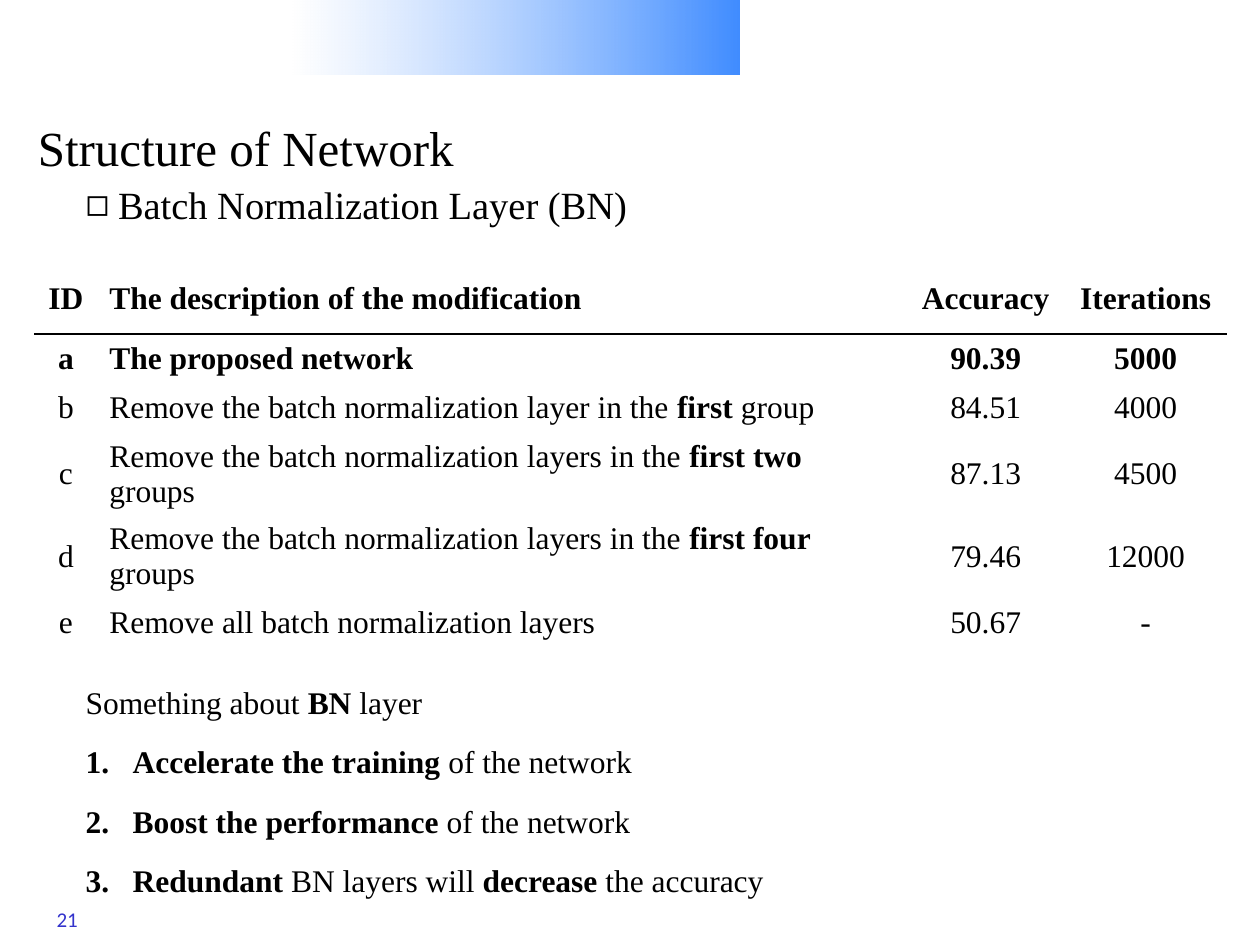
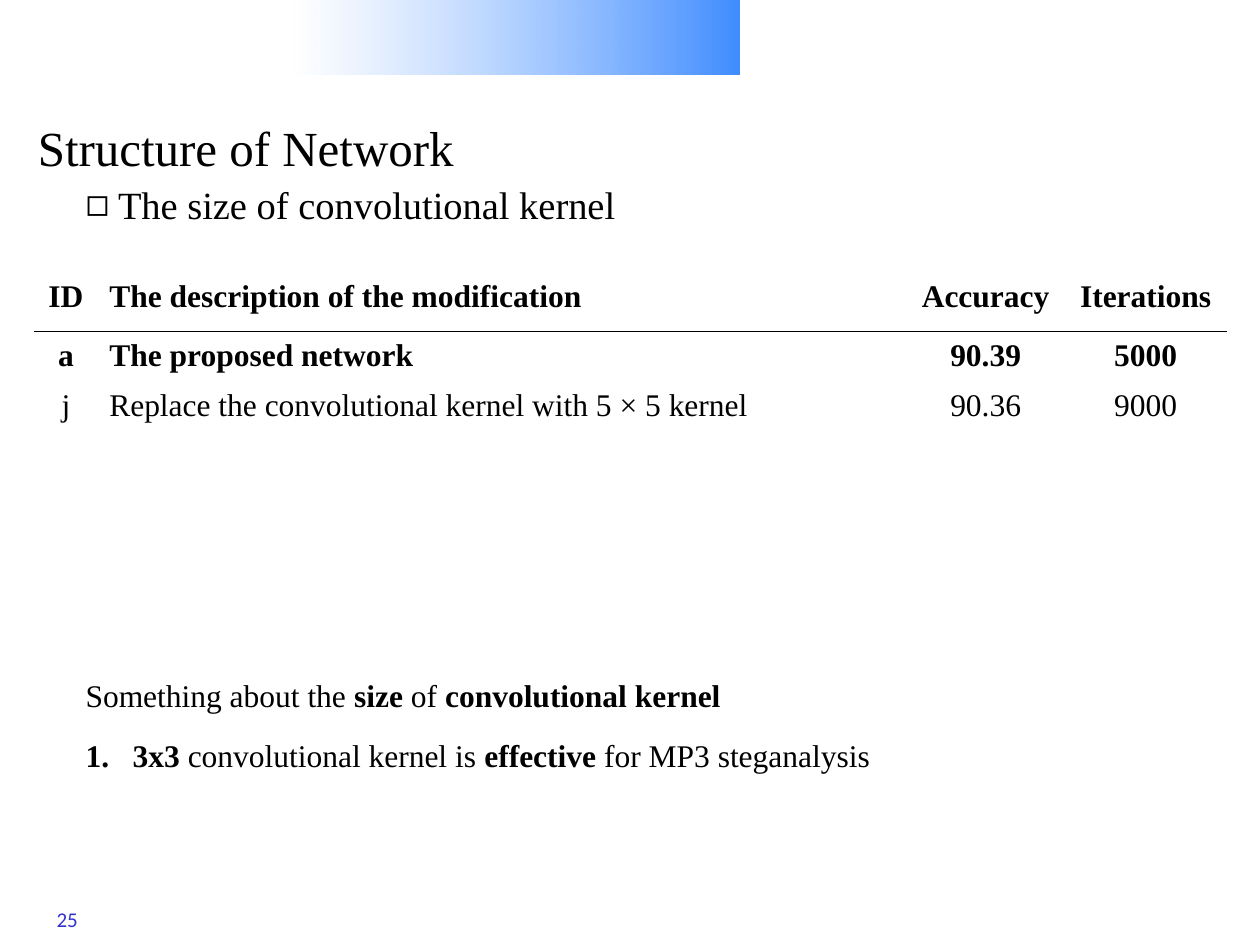
from dataclasses import dataclass

from lxml.etree import SubElement
from pptx import Presentation
from pptx.dml.color import RGBColor
from pptx.enum.shapes import MSO_SHAPE as Preset
from pptx.enum.text import MSO_ANCHOR as Anchor, MSO_AUTO_SIZE as AutoSize, PP_ALIGN as Align
from pptx.oxml.ns import qn
from pptx.util import Cm, Pt


@dataclass(frozen=True)
class Theme:
    black: str = "000000"
    white: str = "FFFFFF"
    band_blue: str = "0066FF"
    number_blue: str = "3333CC"
    serif: str = "Times New Roman"
    sans: str = "Calibri"
    title_size: int = 28
    topic_size: int = 22
    text_size: int = 18
    number_size: int = 12


THEME = Theme()
TWO_CONTENT = 3
TITLE = "Structure of Network"
HEADER = ("ID", "The description of the modification", "Accuracy", "Iterations")
PROPOSED = ("a", "The proposed network", "90.39", "5000")
COLUMN_WIDTHS = (1.24, 16.32, 3.2, 3.25)
HEADER_HEIGHT, ROW_HEIGHT = 1.4, 1.0


# Text
def write(para, text, size=THEME.text_size, font=THEME.serif, color=THEME.black,
          bold=False, align=Align.LEFT, spacing=1.0, before=0):
    """Add text to a paragraph; parts between ** marks are bold."""
    para.alignment = align
    para.line_spacing = spacing
    para.space_before = Pt(before)
    for index, part in enumerate(text.split("**")):
        if part:
            span = para.add_run()
            span.text = part
            span.font.size = Pt(size)
            span.font.name = font
            span.font.bold = bold or index % 2 == 1
            span.font.color.rgb = RGBColor.from_string(color)


def set_bullet(para, tag, indent=0, **attributes):
    props = para._p.get_or_add_pPr()
    props.set("marL", str(Cm(indent)))
    props.set("indent", str(-Cm(indent)))
    SubElement(props, qn(f"a:{tag}"), attributes)


def place(box, left, top, width, height, anchor=Anchor.TOP):
    box.left, box.top, box.width, box.height = map(Cm, (left, top, width, height))
    frame = box.text_frame
    frame.word_wrap = True
    frame.auto_size = AutoSize.NONE
    frame.vertical_anchor = anchor
    return frame


# Parts shared by the slides
def add_band(page):
    band = page.shapes.add_shape(Preset.RECTANGLE, Cm(5.89), 0, Cm(9.02), Cm(1.5))
    band.shadow.inherit = False
    band.line.fill.background()
    band.fill.gradient()
    band.fill.gradient_angle = 0
    stops = band.fill.gradient_stops
    for stop, color in zip(stops, (THEME.white, THEME.band_blue)):
        stop.color.rgb = RGBColor.from_string(color)
    colors = band._element.spPr.iter(qn("a:srgbClr"))
    for color, opacity in zip(colors, (48, 75)):
        SubElement(color, qn("a:alpha"), val=str(opacity * 1000))


def add_page_number(page, number):
    box = page.shapes.add_textbox(0, 0, 0, 0)
    frame = place(box, 0.89, 18.16, 1.19, 0.76)
    write(frame.paragraphs[0], str(number), size=THEME.number_size,
          font=THEME.sans, color=THEME.number_blue)


def fill_title(box):
    frame = place(box, 0.51, 2.16, 24.89, 1.75, Anchor.MIDDLE)
    write(frame.paragraphs[0], TITLE, size=THEME.title_size, spacing=0.9)


def fill_topic(box, topic):
    para = place(box, 1.47, 3.53, 21.44, 1.2).paragraphs[0]
    write(para, " ", size=THEME.topic_size, font=THEME.sans)
    write(para, topic, size=THEME.topic_size)
    set_bullet(para, "buChar", 0.48, char="◻")


def fill_findings(box, top, height, intro, findings):
    frame = place(box, 1.47, top, 18.85, height)
    para = frame.paragraphs[0]
    write(para, intro, before=1.5)
    set_bullet(para, "buNone")
    for finding in findings:
        para = frame.add_paragraph()
        write(para, finding, spacing=1.5, before=1.5)
        set_bullet(para, "buAutoNum", 0.95, type="arabicPeriod")


# Results table
def set_borders(cell, **colors):
    props = cell._tc.get_or_add_tcPr()
    for side in "LRTB":
        line = SubElement(props, qn(f"a:ln{side}"), w=str(Pt(1)))
        solid = SubElement(line, qn("a:solidFill"))
        SubElement(solid, qn("a:srgbClr"), val=colors.get(side, THEME.white))


def add_results(page, top, results):
    rows = (HEADER, PROPOSED, *results)
    height = HEADER_HEIGHT + ROW_HEIGHT * (len(rows) - 1)
    table = page.shapes.add_table(len(rows), len(HEADER), Cm(0.71), Cm(top),
                                  Cm(sum(COLUMN_WIDTHS)), Cm(height)).table
    table.first_row = table.horz_banding = False
    for column, width in zip(table.columns, COLUMN_WIDTHS):
        column.width = Cm(width)
    rules = {0: {"B": THEME.black}, 1: {"T": THEME.black}}
    for r, values in enumerate(rows):
        table.rows[r].height = Cm(ROW_HEIGHT if r else HEADER_HEIGHT)
        for c, value in enumerate(values):
            cell = table.cell(r, c)
            set_borders(cell, **rules.get(r, {}))
            cell.fill.background()
            cell.vertical_anchor = Anchor.MIDDLE
            write(cell.text_frame.paragraphs[0], value, bold=r < 2,
                  align=Align.LEFT if c == 1 else Align.CENTER)


def add_page(deck, number, topic, table_top, results, **findings):
    page = deck.slides.add_slide(deck.slide_layouts[TWO_CONTENT])
    title, topic_box, findings_box = page.placeholders
    add_band(page)
    add_page_number(page, number)
    fill_title(title)
    fill_topic(topic_box, topic)
    add_results(page, table_top, results)
    fill_findings(findings_box, **findings)


def main():
    deck = Presentation()
    deck.slide_width, deck.slide_height = Cm(25.4), Cm(19.05)

    # Batch normalization
    removal = "Remove the batch normalization"
    add_page(
        deck, 21, "Batch Normalization Layer (BN)", 5.33,
        [("b", f"{removal} layer in the **first** group", "84.51", "4000"),
         ("c", f"{removal} layers in the **first two **groups", "87.13", "4500"),
         ("d", f"{removal} layers in the **first four **groups", "79.46", "12000"),
         ("e", "Remove all batch normalization layers", "50.67", "-")],
        top=13.64, height=4.5, intro="Something about **BN** layer",
        findings=["**Accelerate the training** of the network",
                  "**Boost the performance **of the network",
                  "**Redundant** BN layers will **decrease** the accuracy"])

    # Kernel size
    add_page(
        deck, 25, "The size of convolutional kernel", 5.28,
        [("j", "Replace the convolutional kernel with 5 × 5 kernel", "90.36", "9000")],
        top=13.51, height=2.18,
        intro="Something about the** size **of** convolutional kernel**",
        findings=["**3x3** convolutional kernel is **effective **for MP3 steganalysis"])

    deck.save("out.pptx")


if __name__ == "__main__":
    main()
